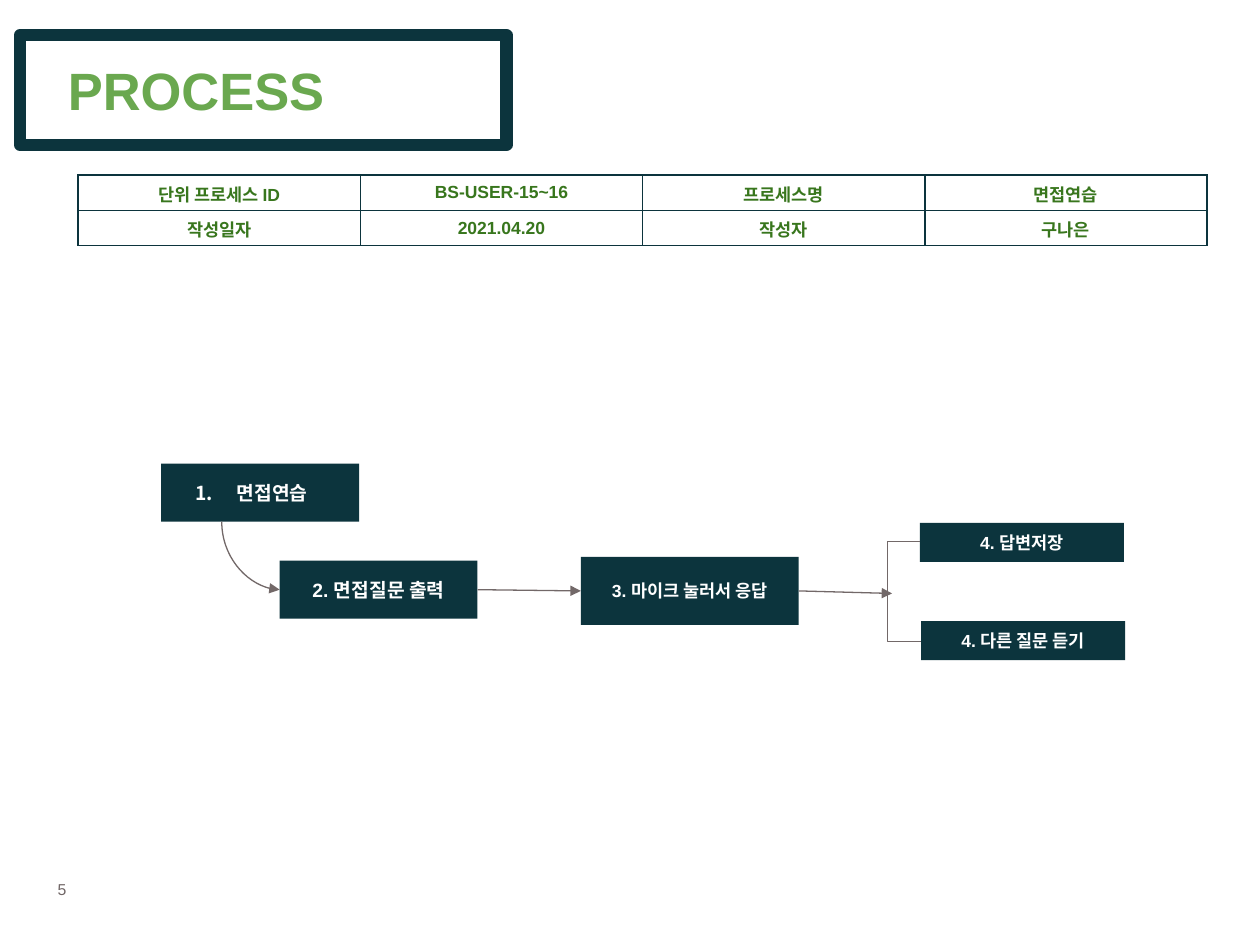
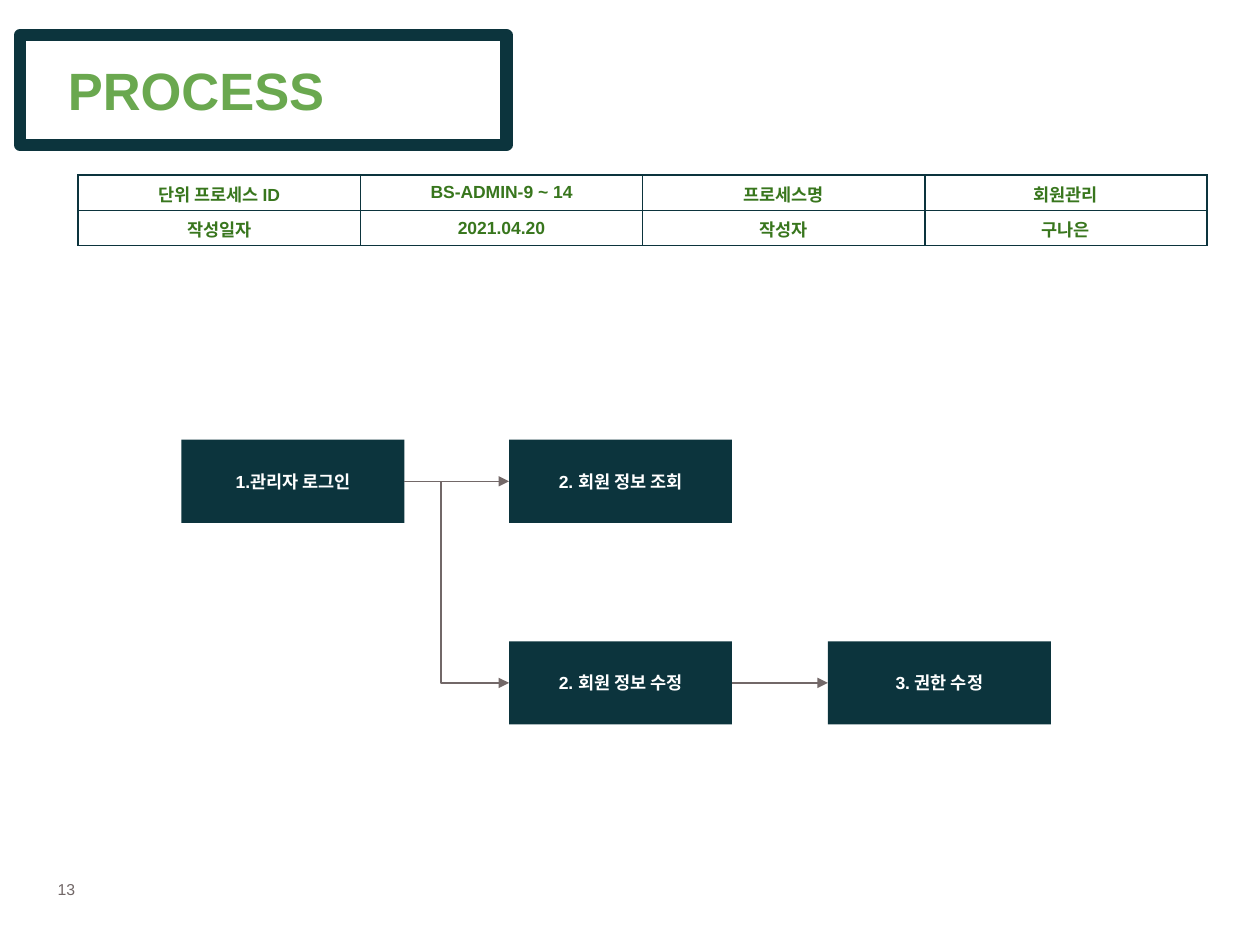
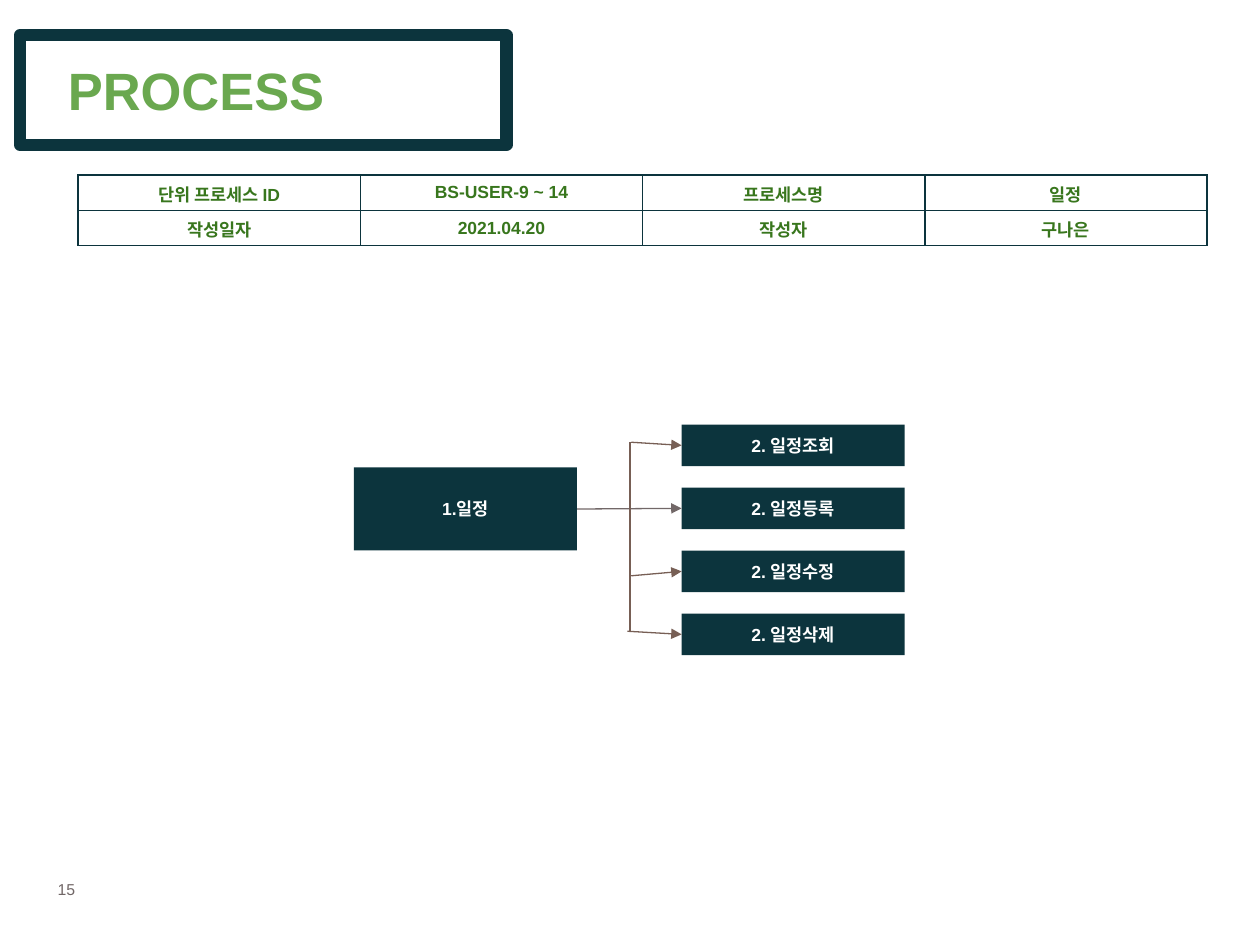
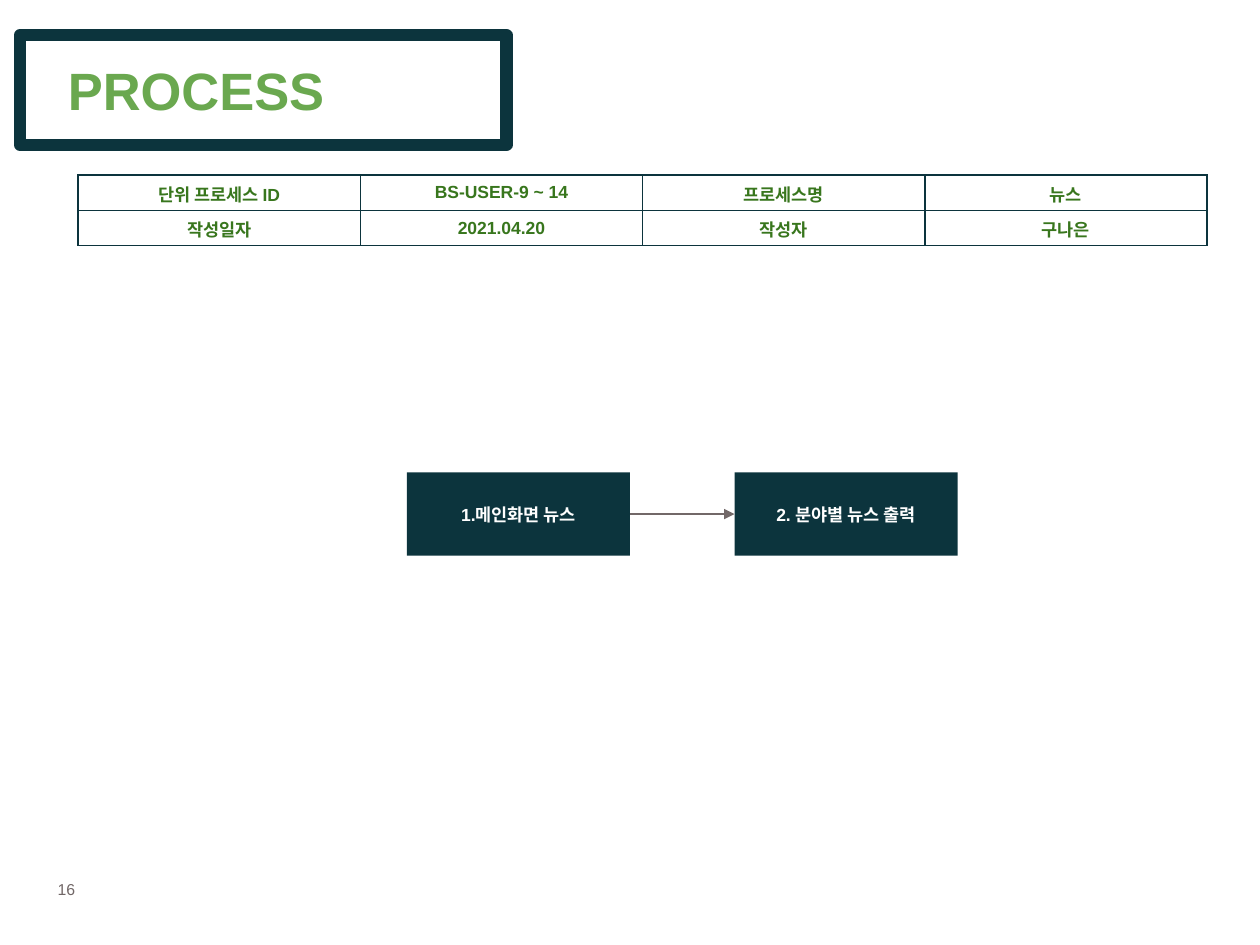
import lxml.etree
import pptx
import pptx.dml.color
import pptx.enum.shapes
import pptx.enum.text
import pptx.oxml.ns
import pptx.util

RGBColor = pptx.dml.color.RGBColor
NAVY = RGBColor(0x0C, 0x34, 0x3D)
WHITE = RGBColor(0xFF, 0xFF, 0xFF)
TITLE_GREEN = RGBColor(0x6A, 0xA8, 0x4F)
TABLE_GREEN = RGBColor(0x38, 0x76, 0x1D)
GREY = RGBColor(0x72, 0x68, 0x68)
BROWN = RGBColor(0x77, 0x5F, 0x55)
NUMBER_GREY = RGBColor(0x71, 0x67, 0x67)

PX = 9144  # 100 px to the inch
RECT = pptx.enum.shapes.MSO_SHAPE.RECTANGLE
STRAIGHT = pptx.enum.shapes.MSO_CONNECTOR.STRAIGHT
ELBOW = pptx.enum.shapes.MSO_CONNECTOR.ELBOW
CURVE = pptx.enum.shapes.MSO_CONNECTOR.CURVE
MIDDLE = pptx.enum.text.MSO_ANCHOR.MIDDLE
TOP = pptx.enum.text.MSO_ANCHOR.TOP
LEFT = pptx.enum.text.PP_ALIGN.LEFT
CENTER = pptx.enum.text.PP_ALIGN.CENTER
RIGHT_SIDE, LEFT_SIDE = 3, 1
qn = pptx.oxml.ns.qn


def write(tf, text, size=10, color=WHITE, bold=True, align=CENTER, anchor=MIDDLE):
    tf.word_wrap = True
    tf.vertical_anchor = anchor
    p = tf.paragraphs[0]
    p.alignment = align
    r = p.add_run()
    r.text = text
    r.font.name = "Arial"
    r.font.size = pptx.util.Pt(size)
    r.font.bold = bold
    r.font.color.rgb = color
    return p


def link(slide, boxes, start, end, color=GREY, arrow=True, kind=STRAIGHT):
    """Join two ends, each a box index (right side to left side) or a point in px."""
    points = [(0, 0) if isinstance(e, int) else e for e in (start, end)]
    c = slide.shapes.add_connector(kind, *[v * PX for point in points for v in point])
    if isinstance(start, int):
        c.begin_connect(boxes[start], RIGHT_SIDE)
    if isinstance(end, int):
        c.end_connect(boxes[end], LEFT_SIDE)
    c.line.color.rgb = color
    c.line.width = pptx.util.Pt(0.75)
    sp_pr = c.element.spPr
    if arrow:
        lxml.etree.SubElement(sp_pr.find(qn("a:ln")), qn("a:tailEnd"), type="triangle")
    lxml.etree.SubElement(sp_pr, qn("a:effectLst"))
    return c


# Each flow: page, process ID, process name, boxes (x, y, w, h, size, text), straight links
FLOWS = [
    (5, "BS-USER-15~16", "면접연습",
     [(128, 368, 157, 46, 11, "면접연습"),
      (222, 445, 157, 46, 11, "2. 면접질문 출력"),
      (461, 442, 173, 54, 10, "3. 마이크 눌러서 응답"),
      (730, 415, 162, 31, 10, "4. 답변저장"),
      (731, 493, 162, 31, 10, "4. 다른 질문 듣기")],
     [(1, 2), (2, (708, 471))]),
    (13, "BS-ADMIN-9 ~ 14", "회원관리",
     [(144, 349, 177, 66, 10, "1.관리자 로그인"),
      (404, 349, 177, 66, 10, "2. 회원 정보 조회"),
      (404, 509, 177, 66, 10, "2. 회원 정보 수정"),
      (657, 509, 177, 66, 10, "3. 권한 수정")],
     [(0, 1), (2, 3)]),
    (15, "BS-USER-9 ~ 14", "일정",
     [(281, 371, 177, 66, 10, "1.일정")]
     + [(541, 337 + 50 * i, 177, 33, 10, f"2. 일정{action}")
        for i, action in enumerate(["조회", "등록", "수정", "삭제"])],
     [(0, 2),
      ((500, 351), (500, 502), BROWN, False),
      ((501, 351), 1, BROWN),
      ((501, 457), 3, BROWN),
      ((498, 501), 4, BROWN)]),
    (16, "BS-USER-9 ~ 14", "뉴스",
     [(323, 375, 177, 66, 10, "1.메인화면 뉴스"),
      (583, 375, 177, 66, 10, "2. 분야별 뉴스 출력")],
     [(0, 1)]),
]

prs = pptx.Presentation()
prs.slide_width = 1000 * PX
prs.slide_height = 750 * PX

for page, process_id, name, box_specs, links in FLOWS:
    slide = prs.slides.add_slide(prs.slide_layouts[6])

    number = slide.shapes.add_textbox(36 * PX, 693 * PX, 52 * PX, 25 * PX)
    write(number.text_frame, str(page), size=9, color=NUMBER_GREY, bold=False,
          align=LEFT, anchor=TOP)

    # Flow
    boxes = []
    for x, y, w, h, size, text in box_specs:
        sp = slide.shapes.add_shape(RECT, x * PX, y * PX, w * PX, h * PX)
        sp.shadow.inherit = False
        sp.fill.solid()
        sp.fill.fore_color.rgb = NAVY
        sp.line.fill.background()
        p = write(sp.text_frame, text, size=size)
        boxes.append(sp)
        if text == "면접연습":
            p.alignment = LEFT
            p_pr = p._p.get_or_add_pPr()
            p_pr.set("marL", str(50 * PX))
            p_pr.set("indent", str(-33 * PX))
            bullet_color = lxml.etree.SubElement(p_pr, qn("a:buClr"))
            lxml.etree.SubElement(bullet_color, qn("a:srgbClr"), val=str(WHITE))
            lxml.etree.SubElement(p_pr, qn("a:buAutoNum"), type="arabicPeriod")
    for ends in links:
        link(slide, boxes, *ends)

    # Connectors that leave downwards, then turn right
    turns = []
    if page == 5:
        turns.append(("curvedConnector2", link(slide, boxes, (176, 414), (222, 468), kind=CURVE)))
        fork = link(slide, boxes, (730, 430), (731, 509), arrow=False, kind=ELBOW)
        guides = fork.element.spPr.find(qn("a:prstGeom")).get_or_add_avLst()
        lxml.etree.SubElement(guides, qn("a:gd"), name="adj1", fmla="val -2600000")
    if page == 13:
        turns.append(("bentConnector2", link(slide, boxes, (350, 382), (404, 542), kind=ELBOW)))
    for preset, c in turns:
        w, h = c.width, c.height
        c.left, c.top = c.left + (w - h) // 2, c.top + (h - w) // 2
        c.width, c.height = h, w
        c.element.spPr.find(qn("a:prstGeom")).set("prst", preset)
        xfrm = c.element.spPr.find(qn("a:xfrm"))
        xfrm.set("rot", str(270 * 60000))
        xfrm.set("flipH", "1")

    # Title
    frame = slide.shapes.add_shape(RECT, 16 * PX, 28 * PX, 386 * PX, 87 * PX)
    frame.shadow.inherit = False
    frame.fill.background()
    frame.line.color.rgb = NAVY
    frame.line.width = pptx.util.Pt(7)
    title = slide.shapes.add_textbox(44 * PX, 8 * PX, 717 * PX, 126 * PX)
    write(title.text_frame, "PROCESS", size=30, color=TITLE_GREEN, align=LEFT)

    # Process details
    rows = [["단위 프로세스 ID", process_id, "프로세스명", name],
            ["작성일자", "2021.04.20", "작성자", "구나은"]]
    table = slide.shapes.add_table(2, 4, 62 * PX, 139 * PX, 896 * PX, 56 * PX).table
    table.first_row = False
    table.horz_banding = False
    for row, texts in enumerate(rows):
        for col, text in enumerate(texts):
            cell = table.cell(row, col)
            cell.fill.background()
            cell.vertical_anchor = MIDDLE
            p = write(cell.text_frame, text, color=TABLE_GREEN)
            tc_pr = cell._tc.get_or_add_tcPr()
            for i, side in enumerate("LRTB"):
                ln = lxml.etree.Element(qn(f"a:ln{side}"), w=str(pptx.util.Pt(1)))
                fill = lxml.etree.SubElement(ln, qn("a:solidFill"))
                lxml.etree.SubElement(fill, qn("a:srgbClr"), val=str(NAVY))
                tc_pr.insert(i, ln)

prs.save("out.pptx")
